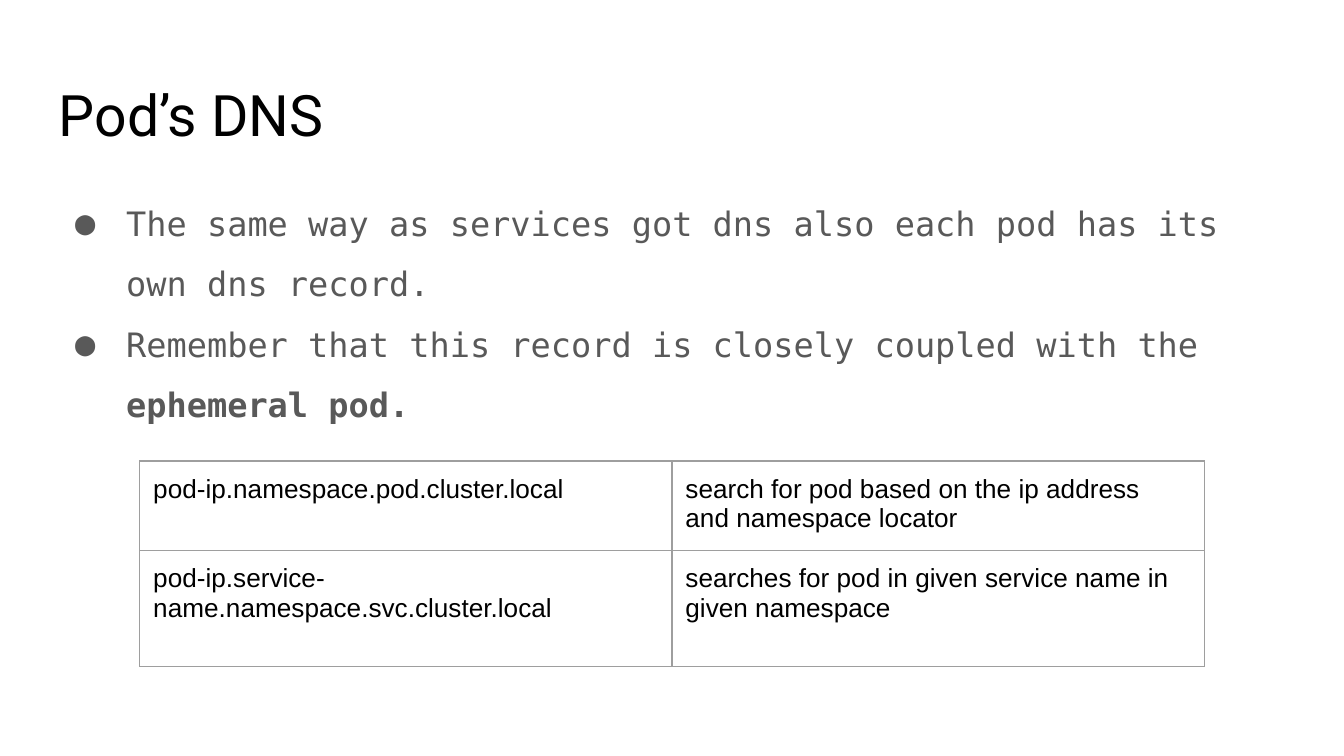
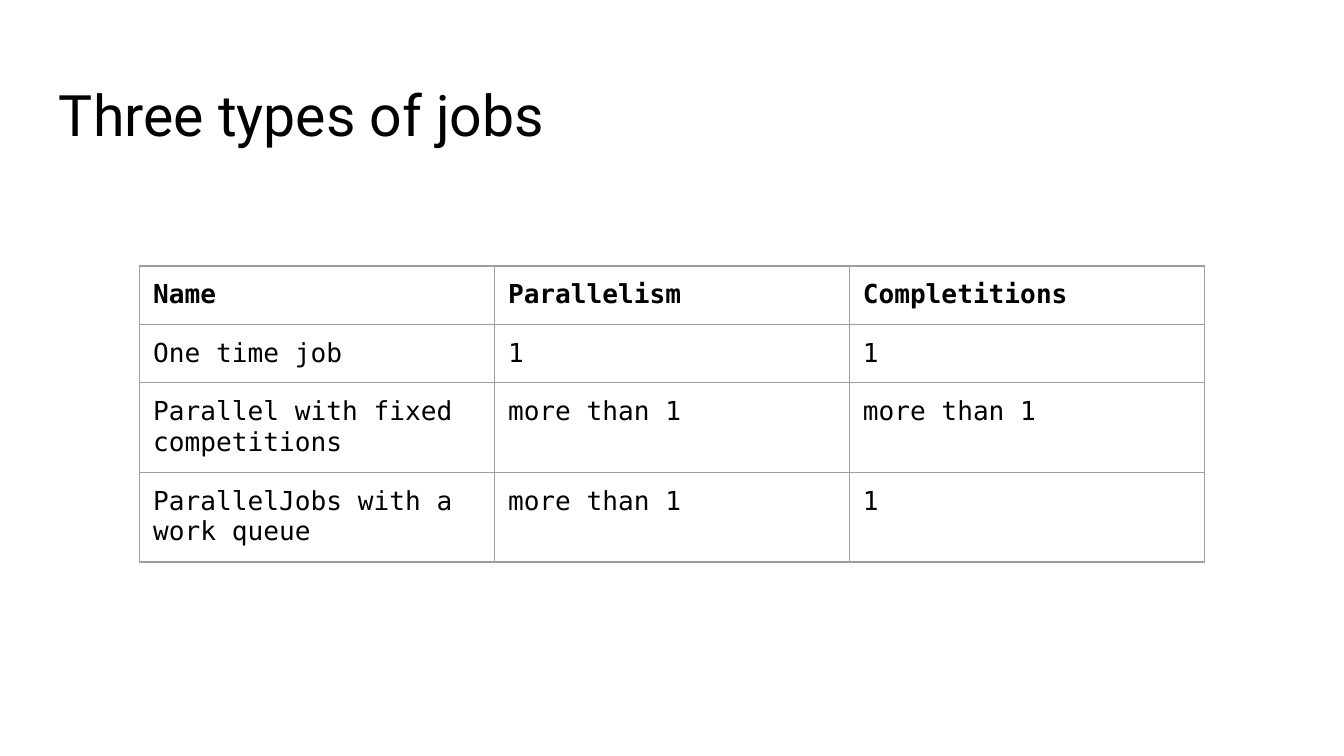
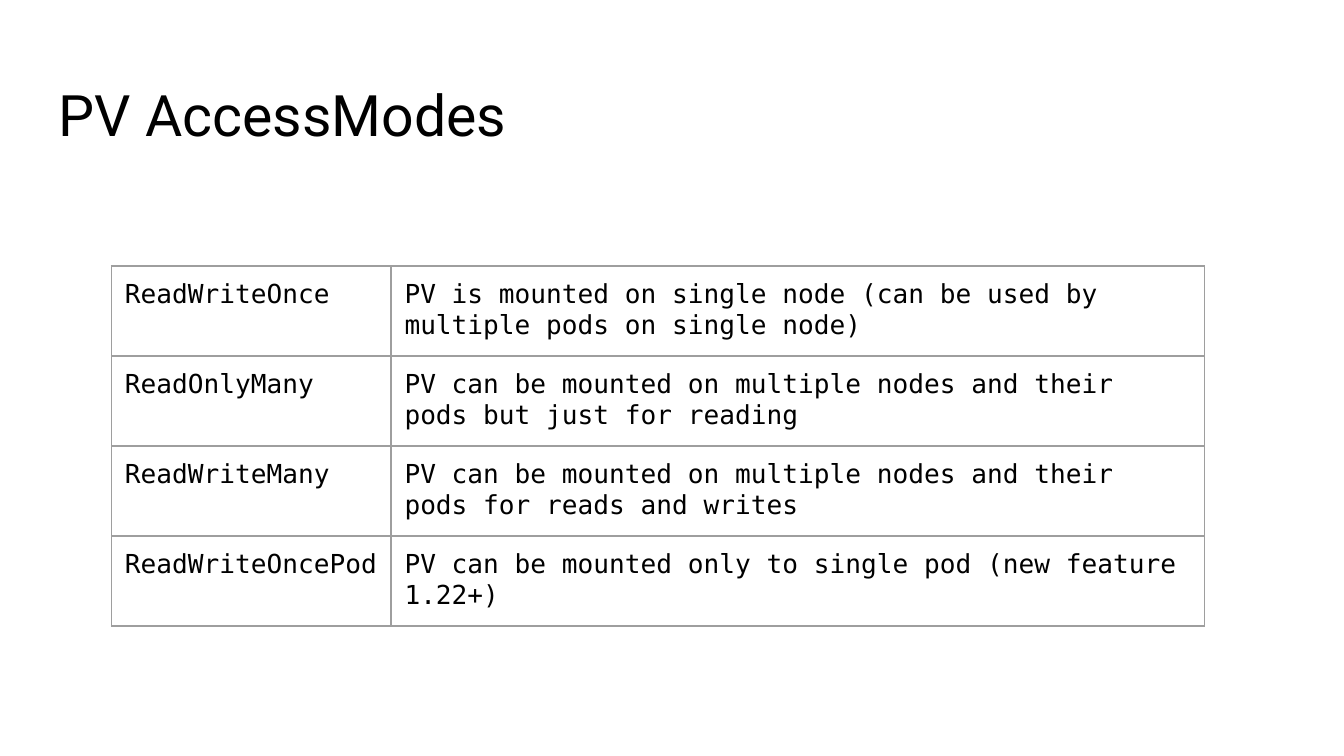
from dataclasses import dataclass

from lxml import etree
from pptx import Presentation
from pptx.dml.color import RGBColor
from pptx.enum.text import MSO_ANCHOR
from pptx.oxml.ns import qn
from pptx.util import Inches, Pt

TOP = MSO_ANCHOR.TOP
BLANK_LAYOUT = 6


@dataclass(frozen=True)
class Theme:
    title_font: str = "Roboto"
    mono_font: str = "DejaVu Sans Mono"
    sans_font: str = "Arial"
    title_size: float = 30.6
    body_size: float = 18
    table_size: float = 14
    black: str = "000000"
    grey: str = "595959"
    border: str = "9E9E9E"
    border_width: float = 0.75
    inset: float = 0.1


THEME = Theme()

TITLE_BOX = (0.34, 0.49, 9.32, 0.63)
BODY_BOX = (0.34, 1.26, 9.32, 3.74)

# A paragraph is a list of (text, bold) runs.
SLIDES = [
    {
        "title": "Pod’s DNS",
        "bullets": [
            [("The same way as services got dns also each pod has its own dns record.", False)],
            [("Remember that this record is closely coupled with the ", False),
             ("ephemeral pod.", True)],
        ],
        "table": {
            "rows": [
                ("pod-ip.namespace.pod.cluster.local",
                 "search for pod based on the ip address and namespace locator"),
                ("pod-ip.service-name.namespace.svc.cluster.local",
                 "searches for pod in given service name in given namespace"),
            ],
            "left": 1.04, "top": 3.43,
            "widths": [3.96] * 2, "heights": [0.42, 0.86],
            "font": THEME.sans_font,
        },
    },
    {
        "title": "Three types of jobs",
        "table": {
            "rows": [
                ("Name", "Parallelism", "Completitions"),
                ("One time job", "1", "1"),
                ("Parallel with fixed competitions", "more than 1", "more than 1"),
                ("ParallelJobs with a work queue", "more than 1", "1"),
            ],
            "left": 1.04, "top": 1.98,
            "widths": [2.64] * 3, "heights": [0.42] * 4,
            "header": True,
        },
    },
    {
        "title": "PV AccessModes",
        "table": {
            "rows": [
                ("ReadWriteOnce",
                 "PV is mounted on single node (can be used by multiple pods on single node)"),
                ("ReadOnlyMany",
                 "PV can be mounted on multiple nodes and their pods but just for reading"),
                ("ReadWriteMany",
                 "PV can be mounted on multiple nodes and their pods for reads and writes"),
                ("ReadWriteOncePod",
                 "PV can be mounted only to single pod (new feature 1.22+)"),
            ],
            "left": 0.83, "top": 1.98,
            "widths": [2.08, 6.05], "heights": [0.67] * 4,
        },
    },
]


def set_insets(target):
    """Give a text frame or a table cell the shared margin on all sides."""
    for side in ("left", "top", "right", "bottom"):
        setattr(target, f"margin_{side}", Inches(THEME.inset))


def add_bullet(paragraph, font, size):
    properties = paragraph._p.get_or_add_pPr()
    properties.set("marL", str(Inches(0.5)))
    properties.set("indent", str(Inches(-0.38)))
    color = etree.SubElement(properties, qn("a:buClr"))
    etree.SubElement(color, qn("a:srgbClr"), val=THEME.grey)
    etree.SubElement(properties, qn("a:buSzPts"), val=str(size * 100))
    etree.SubElement(properties, qn("a:buFont"), typeface=font)
    etree.SubElement(properties, qn("a:buChar"), char="●")


def write_text(text_frame, paragraphs, *, font, size, color=THEME.black,
               bullets=False, line_spacing=None):
    text_frame.word_wrap = True
    for index, runs in enumerate(paragraphs):
        paragraph = text_frame.paragraphs[0] if index == 0 else text_frame.add_paragraph()
        if bullets:
            add_bullet(paragraph, font, size)
        if line_spacing:
            paragraph.line_spacing = line_spacing
        for text, bold in runs:
            run = paragraph.add_run()
            run.text = text
            run.font.name = font
            run.font.size = Pt(size)
            run.font.bold = bold
            run.font.color.rgb = RGBColor.from_string(color)


def add_text_box(slide, box, paragraphs, **text_format):
    text_frame = slide.shapes.add_textbox(*map(Inches, box)).text_frame
    text_frame.vertical_anchor = TOP
    set_insets(text_frame)
    write_text(text_frame, paragraphs, **text_format)


def set_borders(cell):
    properties = cell._tc.get_or_add_tcPr()
    for position, side in enumerate(("lnL", "lnR", "lnT", "lnB")):
        line = etree.Element(qn(f"a:{side}"), w=str(Pt(THEME.border_width)))
        fill = etree.SubElement(line, qn("a:solidFill"))
        etree.SubElement(fill, qn("a:srgbClr"), val=THEME.border)
        properties.insert(position, line)


def add_table(slide, rows, left, top, widths, heights, font=THEME.mono_font, header=False):
    frame = slide.shapes.add_table(
        len(rows), len(widths), Inches(left), Inches(top),
        Inches(sum(widths)), Inches(sum(heights)))
    table = frame.table
    table.first_row = header
    table.horz_banding = False
    for column, width in zip(table.columns, widths):
        column.width = Inches(width)
    for row_index, (row, height, texts) in enumerate(zip(table.rows, heights, rows)):
        row.height = Inches(height)
        for cell, text in zip(row.cells, texts):
            cell.fill.background()
            cell.vertical_anchor = TOP
            set_insets(cell)
            set_borders(cell)
            write_text(cell.text_frame, [[(text, header and row_index == 0)]],
                       font=font, size=THEME.table_size)


def main():
    presentation = Presentation()
    presentation.slide_width = Inches(10)
    presentation.slide_height = presentation.slide_width * 9 // 16
    for content in SLIDES:
        slide = presentation.slides.add_slide(presentation.slide_layouts[BLANK_LAYOUT])
        add_text_box(slide, TITLE_BOX, [[(content["title"], False)]],
                     font=THEME.title_font, size=THEME.title_size)
        if "bullets" in content:
            add_text_box(slide, BODY_BOX, content["bullets"], font=THEME.mono_font,
                         size=THEME.body_size, color=THEME.grey,
                         bullets=True, line_spacing=1.5)
        add_table(slide, **content["table"])
    presentation.save("out.pptx")


if __name__ == "__main__":
    main()
